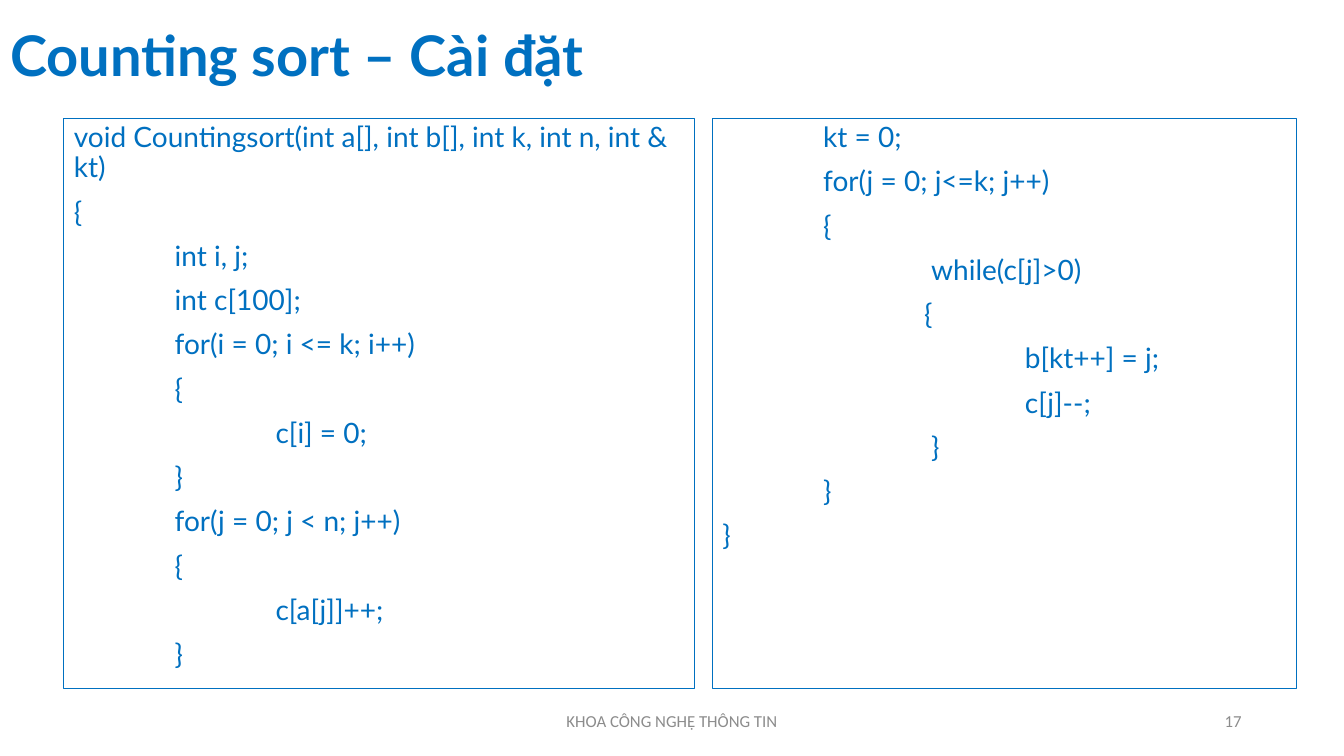
from pptx import Presentation
from pptx.dml.color import RGBColor
from pptx.enum.text import MSO_ANCHOR as Anchor, MSO_AUTO_SIZE as AutoSize, PP_ALIGN as Align
from pptx.oxml.xmlchemy import OxmlElement
from pptx.util import Inches, Pt

LEFT_CODE = [
    (0, "void Countingsort(int a[], int b[], int k, int n, int & kt)"),
    (0, "{"),
    (1, "int i, j;"),
    (1, "int c[100];"),
    (1, "for(i = 0; i <= k; i++)"),
    (1, "{"),
    (2, "c[i] = 0;"),
    (1, "}"),
    (1, "for(j = 0; j < n; j++)"),
    (1, "{"),
    (2, "c[a[j]]++;"),
    (1, "}"),
]
RIGHT_CODE = [
    (1, "kt = 0;"),
    (1, "for(j = 0; j<=k; j++)"),
    (1, "{"),
    (2.07, "while(c[j]>0)"),
    (2, "{"),
    (3, "b[kt++] = j;"),
    (3, "c[j]--;"),
    (2.07, "}"),
    (1, "}"),
    (0, "}"),
]


def color(value):
    return RGBColor.from_string(value)


def write(paragraph, text, *, size, font, fill, bold=False, align=Align.LEFT,
          line=None, before=0, indent=None):
    run = paragraph.add_run()
    run.text = text
    run.font.size = Pt(size)
    run.font.name = font
    run.font.bold = bold
    run.font.color.rgb = color(fill)
    paragraph.alignment = align
    paragraph.line_spacing = line
    paragraph.space_before = Pt(before)
    if indent is not None:
        properties = paragraph._p.get_or_add_pPr()
        properties.set("marL", str(Inches(indent)))
        properties.set("indent", "0")
        properties.append(OxmlElement("a:buNone"))


class CodeSlide:
    COLUMNS, ROWS = 16, 9
    BLUE, GRAY = "0070C0", "8C8C8C"
    HEADING, SMALL = "Lato", "Calibri"

    def __init__(self, presentation):
        self.column = presentation.slide_width / self.COLUMNS
        self.row = presentation.slide_height / self.ROWS
        self.slide = presentation.slides.add_slide(presentation.slide_layouts[3])

    def box(self, left, top, width, height):
        return [int(left * self.column), int(top * self.row),
                int(width * self.column), int(height * self.row)]

    def prepare(self, shape, area, anchor):
        shape.left, shape.top, shape.width, shape.height = self.box(*area)
        frame = shape.text_frame
        frame.word_wrap = True
        frame.auto_size = AutoSize.NONE
        frame.vertical_anchor = anchor
        return frame

    def title(self, text, *area):
        frame = self.prepare(self.slide.shapes.title, area, Anchor.MIDDLE)
        write(frame.paragraphs[0], text, size=40, font=self.HEADING,
              fill=self.BLUE, bold=True, line=0.9)

    def code(self, index, lines, *area):
        shape = self.slide.placeholders[index]
        frame = self.prepare(shape, area, Anchor.TOP)
        shape.line.color.rgb = color(self.BLUE)
        shape.line.width = Pt(0.75)
        for number, (indent, text) in enumerate(lines):
            paragraph = frame.add_paragraph() if number else frame.paragraphs[0]
            write(paragraph, text, size=20, font=self.HEADING, fill=self.BLUE,
                  line=0.9, before=10, indent=indent)

    def footer(self, text, align, *area):
        shape = self.slide.shapes.add_textbox(*self.box(*area))
        frame = self.prepare(shape, area, Anchor.MIDDLE)
        write(frame.paragraphs[0], text, size=12, font=self.SMALL,
              fill=self.GRAY, align=align)


def main():
    presentation = Presentation()
    presentation.slide_width = Inches(13.33)
    presentation.slide_height = Inches(7.5)
    page = CodeSlide(presentation)
    page.title("Counting sort – Cài đặt", 0, 0, 14.4, 1.4)
    page.code(1, LEFT_CODE, 0.76, 1.41, 7.51, 6.79)
    page.code(2, RIGHT_CODE, 8.48, 1.41, 6.96, 6.79)
    page.footer("KHOA CÔNG NGHỆ THÔNG TIN", Align.CENTER, 5.3, 8.34, 5.4, 0.48)
    page.footer("17", Align.RIGHT, 11.3, 8.34, 3.6, 0.48)
    presentation.save("out.pptx")


if __name__ == "__main__":
    main()
